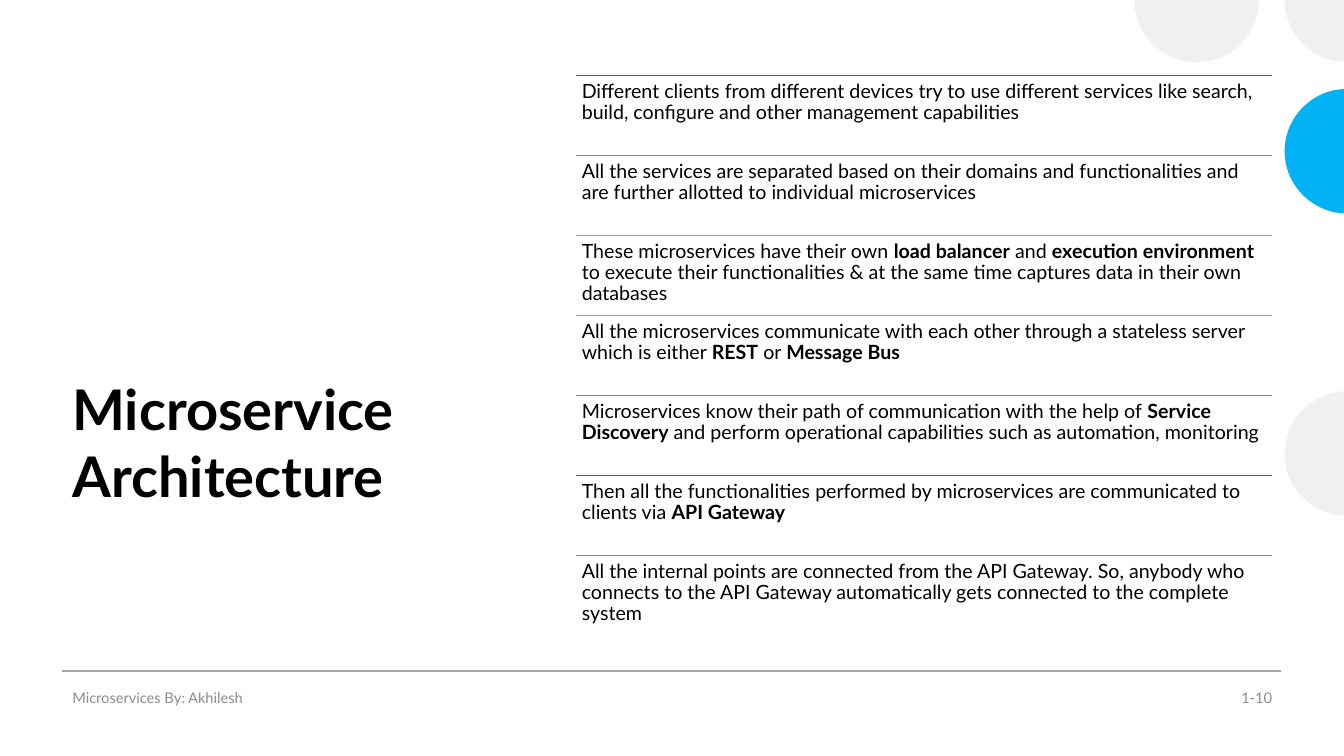
from lxml.etree import SubElement
from pptx import Presentation
from pptx.dml.color import RGBColor
from pptx.enum.shapes import MSO_CONNECTOR as Connector
from pptx.enum.text import MSO_ANCHOR as Anchor, MSO_AUTO_SIZE as AutoSize, PP_ALIGN as Align
from pptx.oxml.ns import qn
from pptx.util import Pt

# Content: text between bars is bold
TITLE = "Microservice Architecture"
POINTS = [
    "Different clients from different devices try to use different services like search, "
    "build, configure and other management capabilities",
    "All the services are separated based on their domains and functionalities and "
    "are further allotted to individual microservices",
    "These microservices have their own |load balancer| and |execution environment| to execute "
    "their functionalities & at the same time captures data in their own databases",
    "All the microservices communicate with each other through a stateless server "
    "which is either |REST| or |Message Bus|",
    "Microservices know their path of communication with the help of |Service Discovery| "
    "and perform operational capabilities such as automation, monitoring",
    "Then all the functionalities performed by microservices are communicated to "
    "clients via |API Gateway|",
    "All the internal points are connected from the API Gateway. So, anybody who "
    "connects to the API Gateway automatically gets connected to the complete system",
]
RULE_COLORS = ["0471CC", "14BBA9", "8BB93B", "EC970C", "F55822"]

# Layout, in points
PAGE_WIDTH, PAGE_HEIGHT = 960, 540
LIST_LEFT, LIST_TOP, LIST_WIDTH, ROW_HEIGHT = 411.4, 54.1, 497.3, 57.13
FOOTER_TOP, FOOTER_HEIGHT = 483.8, 28.8
FOOTERS = [  # text, left, width, alignment
    ("Microservices By: Akhilesh", 44.6, 284.4, Align.LEFT),
    ("1-10", 851.8, 64, Align.RIGHT),
]

# Disc parts: straight corners, then curves of two handles and an end
TOP_HALF = (
    [(0, 0), (89, 0)],
    [(89, 24.6), (69.1, 44.5), (44.5, 44.5), (19.9, 44.5), (0, 24.6), (0, 0)],
)
RIGHT_HALF = (
    [(42.4, 0), (42.4, 89), (36, 88.2)],
    [(15.8, 84.2), (0, 66.2), (0, 44.5), (0, 22.8), (15.8, 4.8), (36, 0.8)],
)
CORNER = (
    [(0, 0), (42.4, 0), (42.4, 44.5), (36, 43.7)],
    [(15.8, 39.7), (0, 21.7), (0, 0)],
)
DISCS = [  # part, left, top, colour
    (TOP_HALF, 810.3, 0, "EFF0EF"),
    (RIGHT_HALF, 917.6, 279.5, "EFF0EF"),
    (RIGHT_HALF, 917.6, 63.5, "00B2F3"),
    (CORNER, 917.6, 0, "EFF0EF"),
]


def color(value):
    return RGBColor.from_string(value)


def add_rule(left, right, top, value):
    rule = page.shapes.add_connector(Connector.STRAIGHT, Pt(left), Pt(top), Pt(right), Pt(top))
    rule.line.color.rgb = color(value)
    rule.line.width = Pt(1)
    SubElement(rule.element.spPr, qn("a:effectLst"))


def add_disc(part, left, top, value):
    corners, curves = part
    outline = [(Pt(left + x), Pt(top + y)) for x, y in corners + curves]
    builder = page.shapes.build_freeform(*outline[0], scale=1.0)
    builder.add_line_segments(outline[1:], close=True)
    disc = builder.convert_to_shape()
    disc.shadow.inherit = False
    disc.fill.solid()
    disc.fill.fore_color.rgb = color(value)
    disc.line.fill.background()
    # Join every three curve points into one Bézier segment
    segments = list(disc.element.iter(qn("a:lnTo")))[len(corners) - 1:][:len(curves)]
    for start in range(0, len(segments), 3):
        first, *others = segments[start:start + 3]
        first.tag = qn("a:cubicBezTo")
        for other in others:
            first.append(other[0])
            other.getparent().remove(other)


def set_text(box, text, size, value="000000", bold=False, spacing=1.0, align=Align.LEFT, **frame):
    options = {"word_wrap": True, "auto_size": AutoSize.NONE, **frame}
    for name, option in options.items():
        setattr(box.text_frame, name, option)
    para = box.text_frame.paragraphs[0]
    para.alignment = align
    para.line_spacing = spacing
    for index, part in enumerate(text.split("|")):
        if not part:
            continue
        span = para.add_run()
        span.text = part
        font = {"name": "Lato", "size": Pt(size), "bold": bold or index % 2 == 1}
        for name, option in font.items():
            setattr(span.font, name, option)
        span.font.color.rgb = color(value)


def add_text(left, top, width, height, *args, **options):
    box = page.shapes.add_textbox(Pt(left), Pt(top), Pt(width), Pt(height))
    set_text(box, *args, **options)


deck = Presentation()
deck.slide_width, deck.slide_height = Pt(PAGE_WIDTH), Pt(PAGE_HEIGHT)
page = deck.slides.add_slide(deck.slide_layouts.get_by_name("Title Only"))

# Title, raised by two lines above the bottom of its box
title = page.shapes.title
for side, length in {"left": 44.6, "top": 195.8, "width": 284.4, "height": 267.1}.items():
    setattr(title, side, Pt(length))
set_text(title, TITLE, 40, bold=True, vertical_anchor=Anchor.BOTTOM, margin_bottom=Pt(99.6))

# Footer
for text, left, width, align in FOOTERS:
    add_text(left, FOOTER_TOP, width, FOOTER_HEIGHT, text, 10.5, "8C8C8C",
             align=align, vertical_anchor=Anchor.MIDDLE)

# Corner and edge discs
for disc_values in DISCS:
    add_disc(*disc_values)

add_rule(44.6, 915, 479.3, "A6A6A6")

# Ruled list
insets = {f"margin_{side}": Pt(4.2) for side in ("left", "top", "right", "bottom")}
for row, point in enumerate(POINTS):
    top = LIST_TOP + row * ROW_HEIGHT
    add_rule(LIST_LEFT, LIST_LEFT + LIST_WIDTH, top, RULE_COLORS[row % len(RULE_COLORS)])
    add_text(LIST_LEFT, top, LIST_WIDTH, ROW_HEIGHT, point, 14, spacing=0.9,
             vertical_anchor=Anchor.TOP, **insets)

deck.save("out.pptx")
